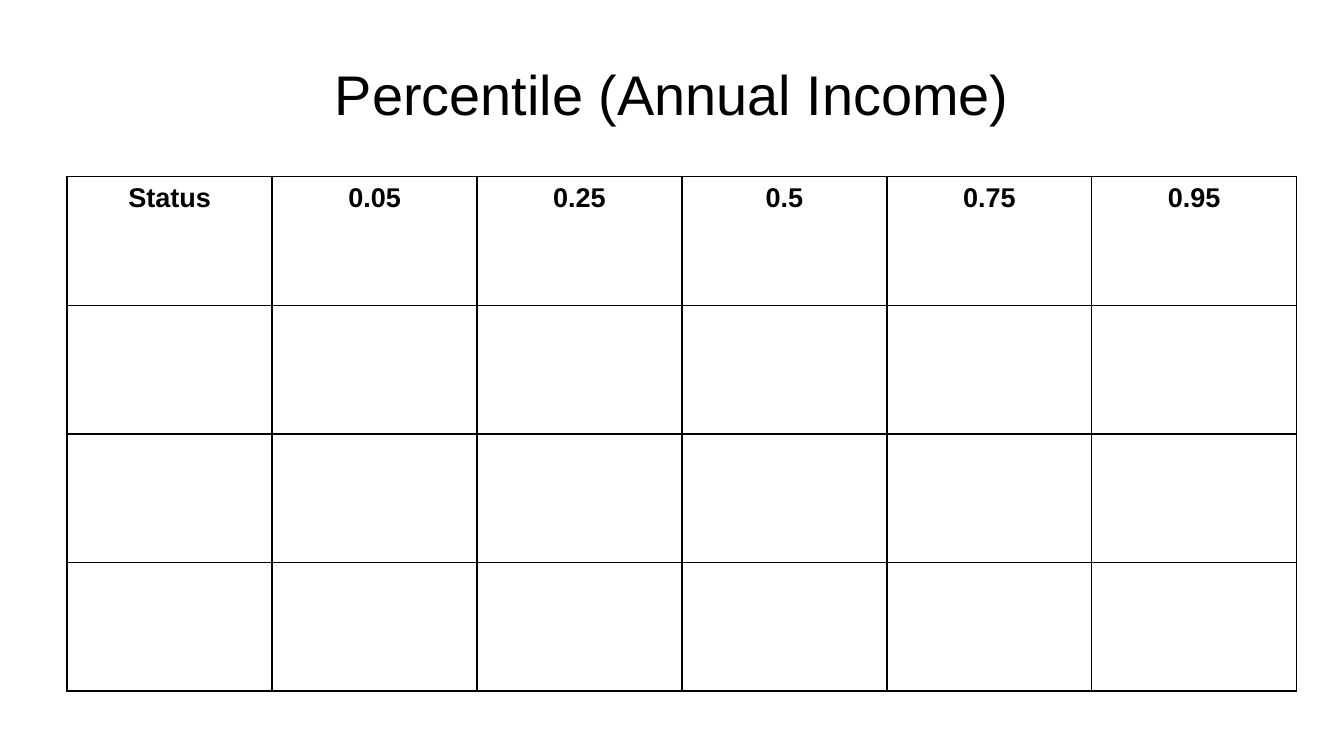
from lxml.etree import SubElement
from pptx import Presentation
from pptx.dml.color import RGBColor
from pptx.enum.text import MSO_ANCHOR, PP_ALIGN
from pptx.oxml.ns import qn
from pptx.util import Cm, Pt

BLACK = RGBColor(0, 0, 0)
HEADINGS = ["Status", "0.05", "0.25", "0.5", "0.75", "0.95"]
ROW_COUNT = 4
COLUMN_WIDTH = Cm(4.27)
ROW_HEIGHT = Cm(2.68)


class SlideBuilder:
    font_name = "Arial"
    border_width = Pt(1)

    def __init__(self, page):
        self.page = page

    def add_text(self, para, text, size, bold=False):
        para.alignment = PP_ALIGN.CENTER
        span = para.add_run()
        span.text = text
        span.font.name = self.font_name
        span.font.size = Pt(size)
        span.font.bold = bold
        span.font.color.rgb = BLACK

    def title(self, text, left, top, width, height):
        box = self.page.shapes.title
        box.left, box.top, box.width, box.height = left, top, width, height
        frame = box.text_frame
        frame.margin_left = frame.margin_right = 0
        frame.margin_top = frame.margin_bottom = 0
        frame.vertical_anchor = MSO_ANCHOR.MIDDLE
        frame.word_wrap = True
        self.add_text(frame.paragraphs[0], text, 33)

    def border(self, cell):
        """Draw a thin black line on all four sides of the cell."""
        properties = cell._tc.get_or_add_tcPr()
        for side in ("lnL", "lnR", "lnT", "lnB"):
            line = SubElement(properties, qn(f"a:{side}"), w=str(self.border_width))
            fill = SubElement(line, qn("a:solidFill"))
            SubElement(fill, qn("a:srgbClr"), val=str(BLACK))

    def table(self, headings, row_count, left, top):
        frame = self.page.shapes.add_table(
            row_count, len(headings), left, top,
            COLUMN_WIDTH * len(headings), ROW_HEIGHT * row_count)
        table = frame.table
        table.horz_banding = False
        for column in table.columns:
            column.width = COLUMN_WIDTH
        for row in table.rows:
            row.height = ROW_HEIGHT
        for cell in table.iter_cells():
            self.border(cell)
            cell.fill.background()
        for cell, heading in zip(table.rows[0].cells, headings):
            self.add_text(cell.text_frame.paragraphs[0], heading, 16, bold=True)


def main():
    deck = Presentation()
    deck.slide_width, deck.slide_height = Cm(28), Cm(15.75)
    title_only = deck.slide_layouts[5]
    builder = SlideBuilder(deck.slides.add_slide(title_only))
    builder.title("Percentile (Annual Income)", Cm(1.4), Cm(0.63), Cm(25.2), Cm(2.64))
    builder.table(HEADINGS, ROW_COUNT, Cm(1.4), Cm(3.68))
    deck.save("out.pptx")


if __name__ == "__main__":
    main()
